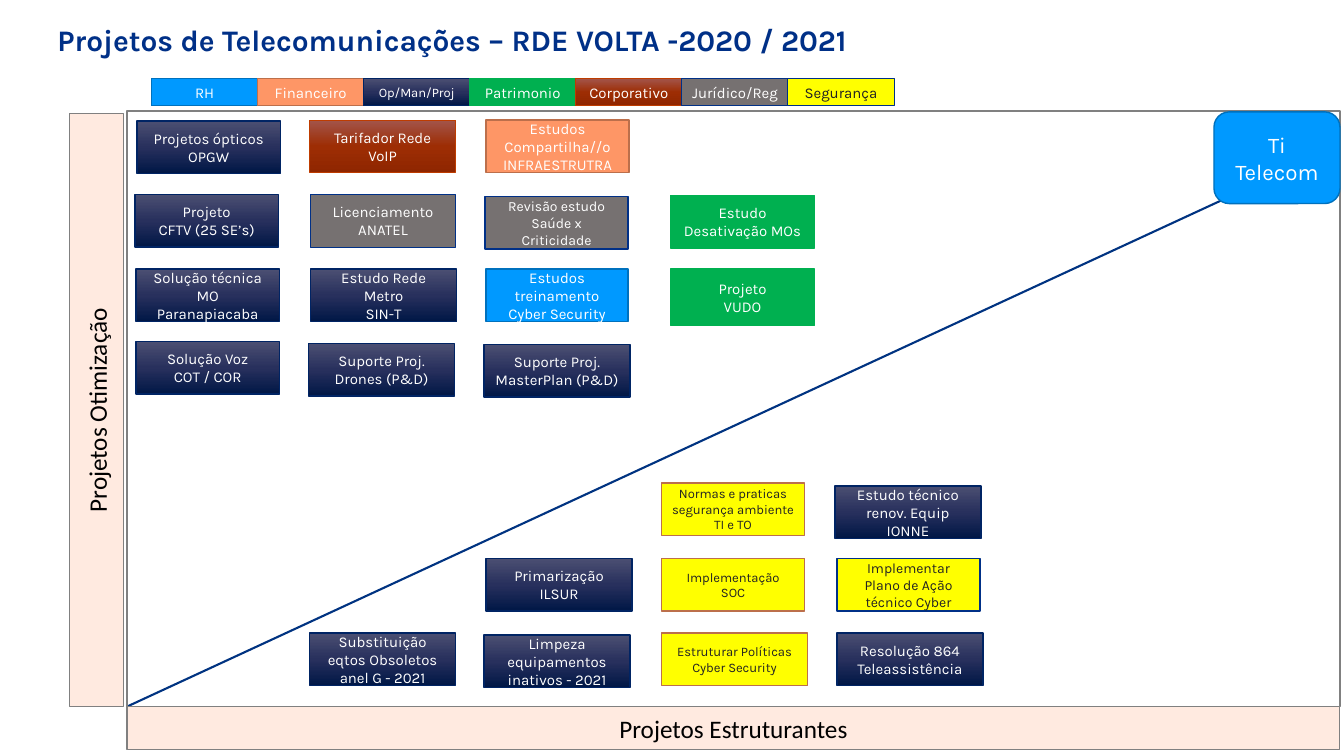
from copy import deepcopy

from lxml import etree
from pptx import Presentation
from pptx.dml.color import RGBColor
from pptx.enum.shapes import MSO_CONNECTOR, MSO_SHAPE
from pptx.enum.text import MSO_ANCHOR, MSO_AUTO_SIZE, PP_ALIGN
from pptx.oxml.ns import qn
from pptx.util import Inches, Pt

RECT, ROUNDED = MSO_SHAPE.RECTANGLE, MSO_SHAPE.ROUNDED_RECTANGLE
MIDDLE, CENTER, LEFT = MSO_ANCHOR.MIDDLE, PP_ALIGN.CENTER, PP_ALIGN.LEFT

# Style: fill (one colour or gradient stops), line colour, line width, text colour
NAVY = ["4B4F72", "28305D", "001746"]
RUST = ["A3554B", "9D2D04", "8F2600"]
STYLES = {
    "rh": ("0099FF", "0071BD", 1, "FFFFFF"),
    "financeiro": ("FE9666", "BC6F4B", 1, "FFFFFF"),
    "operacao": (NAVY, "002464", 1, "FFFFFF"),
    "patrimonio": ("00B050", "00B050", 1, "FFFFFF"),
    "corporativo": (RUST, "BE3C00", 0.5, "FFFFFF"),
    "juridico": ("767171", "003087", 0.5, "FFFFFF"),
    "juridico forte": ("767171", "003087", 1, "FFFFFF"),
    "seguranca": ("FFFF00", "BC6F4B", 1, "232323"),
    "seguranca legenda": ("FFFF00", "003087", 0.5, "232323"),
    "seguranca azul": ("FFFF00", "003087", 1, "232323"),
    "eixo": ("FFEAE0", "808080", 0.75, "000000"),
    "quadro": (None, "808080", 1, "000000"),
}


def rgb(value):
    return RGBColor.from_string(value)


def add_box(x, y, w, h, style, text="", size=10.7, font="Karla", shape=RECT):
    fill, line, width, color = STYLES[style]
    sp = s.shapes.add_shape(shape, Inches(x), Inches(y), Inches(w), Inches(h))
    sp.shadow.inherit = False
    sp.line.color.rgb = rgb(line)
    sp.line.width = Pt(width)
    if fill is None:
        sp.fill.background()
    elif isinstance(fill, str):
        sp.fill.solid()
        sp.fill.fore_color.rgb = rgb(fill)
    else:
        sp.fill.gradient()
        sp.fill.gradient_angle = 270
        stops = next(sp._element.iter(qn("a:gsLst")))
        stops.append(deepcopy(stops[0]))
        for i, stop in enumerate(sp.fill.gradient_stops):
            stop.position = i / 2
            stop.color.rgb = rgb(fill[i])
    tf = sp.text_frame
    tf.text = text
    tf.word_wrap = True
    tf.vertical_anchor = MIDDLE
    for p in tf.paragraphs:
        p.alignment = CENTER
        p.font.name = font
        p.font.size = Pt(size)
        p.font.color.rgb = rgb(color)
    return sp


prs = Presentation()
prs.slide_width, prs.slide_height = Inches(13.33), Inches(7.5)
s = prs.slides.add_slide(prs.slide_layouts[5])

# Title
title = s.shapes.title
title.left, title.top = Inches(0.47), Inches(0.28)
title.width, title.height = Inches(11.09), Inches(0.28)
tf = title.text_frame
tf.text = "Projetos de Telecomunicações – RDE VOLTA -2020 / 2021"
tf.auto_size = MSO_AUTO_SIZE.NONE
tf.word_wrap = True
tf.vertical_anchor = MIDDLE
p = tf.paragraphs[0]
p.alignment = LEFT
p.line_spacing = 0.9
p.font.name = "Karla"
p.font.size = Pt(21.3)
p.font.bold = True
p.font.color.rgb = rgb("003087")

# Diagonal, frame and axes
diagonal = s.shapes.add_connector(MSO_CONNECTOR.STRAIGHT, Inches(1.26), Inches(7.01),
                                  Inches(12.11), Inches(1.99))
diagonal.line.color.rgb = rgb("003381")
diagonal.line.width = Pt(1.5)
etree.SubElement(diagonal._element.spPr, qn("a:effectLst"))

add_box(1.26, 1.1, 12.03, 5.91, "quadro")
add_box(1.26, 7.01, 12.03, 0.43, "eixo", "Projetos Estruturantes", 18, "Calibri")
vertical = add_box(-1.98, 3.8, 5.88, 0.54, "eixo", "Projetos Otimização", 18, "Calibri")
vertical.rotation = 270
add_box(12.04, 1.11, 1.25, 0.91, "rh", "Ti Telecom", 16, shape=ROUNDED)

# Legend
legend = [
    ("rh", "RH", 10.7),
    ("financeiro", "Financeiro", 10.7),
    ("operacao", "Op/Man/Proj", 9.3),
    ("patrimonio", "Patrimonio", 10.7),
    ("corporativo", "Corporativo", 10.7),
    ("juridico", "Jurídico/Reg", 10.7),
    ("seguranca legenda", "Segurança", 10.7),
]
for i, (style, text, size) in enumerate(legend):
    add_box(1.5 + 1.052 * i, 0.78, 1.06, 0.27, style, text, size)

# Project cards: left, top, width, style, text, size
cards = [
    (1.36, 1.2, 1.42, "operacao", "Projetos ópticos\nOPGW", 10.7),
    (1.34, 1.93, 1.42, "operacao", "Projeto\nCFTV (25 SE’s)", 10.7),
    (1.35, 2.67, 1.42, "operacao", "Solução técnica\nMO Paranapiacaba", 10.7),
    (1.35, 3.39, 1.42, "operacao", "Solução Voz\nCOT / COR", 10.7),
    (3.07, 1.19, 1.45, "corporativo", "Tarifador Rede VoIP", 10.7),
    (3.08, 1.93, 1.44, "juridico", "Licenciamento\nANATEL", 10.7),
    (3.08, 2.67, 1.45, "operacao", "Estudo Rede Metro\nSIN-T", 10.7),
    (3.06, 3.41, 1.45, "operacao", "Suporte Proj.\nDrones (P&D)", 10.7),
    (3.07, 6.28, 1.45, "operacao", "Substituição eqtos Obsoletos anel G - 2021", 10.7),
    (4.82, 1.19, 1.42, "financeiro", "Estudos\nCompartilha//o\nINFRAESTRUTRA", 10.7),
    (4.81, 1.95, 1.42, "juridico forte", "Revisão estudo\nSaúde x Criticidade", 10),
    (4.82, 2.67, 1.41, "rh", "Estudos treinamento Cyber Security", 10.7),
    (4.8, 3.42, 1.45, "operacao", "Suporte Proj.\nMasterPlan (P&D)", 10.7),
    (4.82, 5.54, 1.45, "operacao", "Primarização ILSUR", 10.7),
    (4.8, 6.3, 1.45, "operacao", "Limpeza equipamentos inativos - 2021", 10.7),
    (6.65, 1.94, 1.43, "patrimonio", "Estudo\nDesativação MOs", 10.7),
    (6.65, 2.67, 1.43, "patrimonio", "Projeto\nVUDO", 10.7),
    (6.56, 4.79, 1.42, "seguranca", "Normas e praticas segurança ambiente TI e TO", 9.3),
    (6.56, 5.54, 1.42, "seguranca", "Implementação\nSOC", 9.3),
    (6.56, 6.28, 1.45, "seguranca", "Estruturar Políticas\nCyber Security", 9.3),
    (8.28, 4.82, 1.45, "operacao", "Estudo técnico renov. Equip IONNE", 10.7),
    (8.3, 5.54, 1.42, "seguranca azul", "Implementar\nPlano de Ação técnico Cyber", 10),
    (8.3, 6.28, 1.45, "operacao", "Resolução 864\nTeleassistência", 10.7),
]
for x, y, w, style, text, size in cards:
    h = 0.56 if "VUDO" in text else 0.52
    add_box(x, y, w, h, style, text, size)

prs.save("out.pptx")
